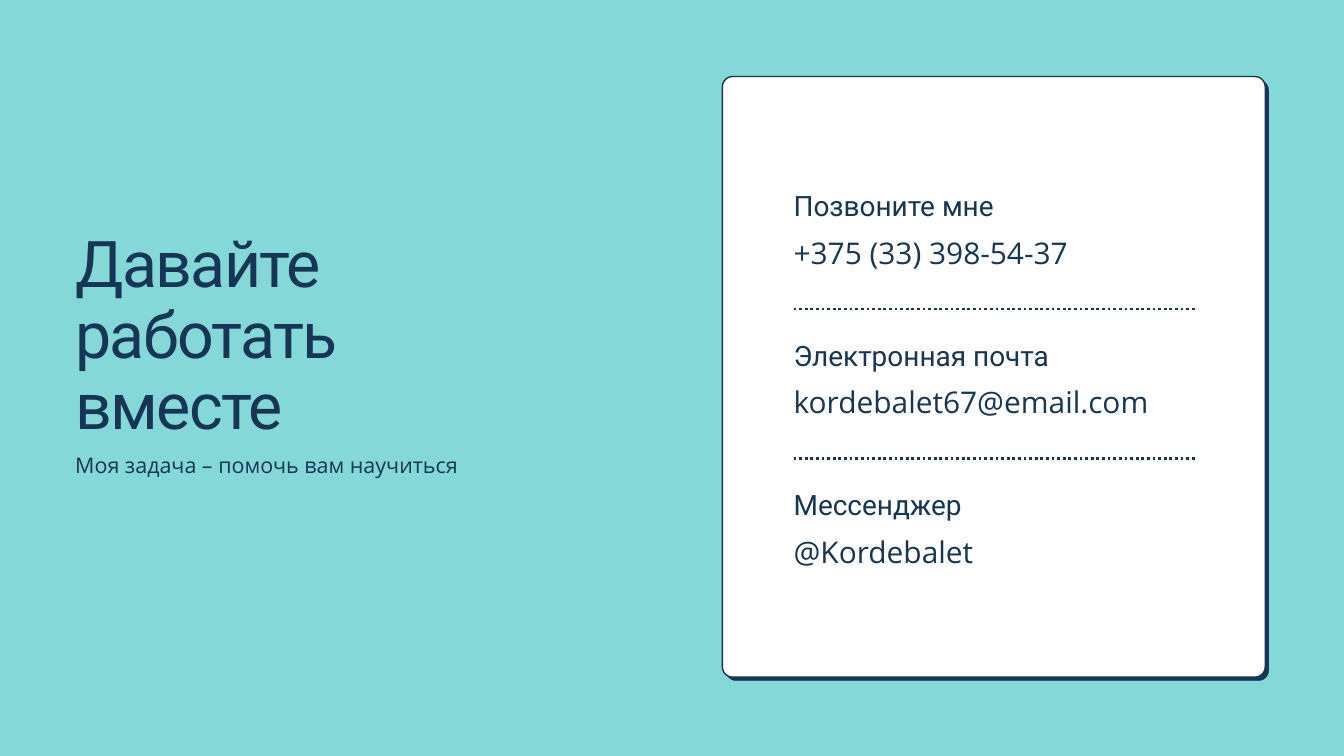
from dataclasses import dataclass

from lxml import etree
from pptx import Presentation
from pptx.dml.color import RGBColor
from pptx.enum.dml import MSO_LINE
from pptx.enum.shapes import MSO_CONNECTOR, MSO_SHAPE
from pptx.enum.text import MSO_ANCHOR, MSO_AUTO_SIZE, PP_ALIGN
from pptx.oxml.ns import qn
from pptx.shapes.autoshape import Shape
from pptx.slide import Slide
from pptx.util import Pt

ROUNDED = MSO_SHAPE.ROUNDED_RECTANGLE
STRAIGHT = MSO_CONNECTOR.STRAIGHT
DOTTED = MSO_LINE.ROUND_DOT
TOP = MSO_ANCHOR.TOP
LEFT = PP_ALIGN.LEFT
NO_AUTOSIZE = MSO_AUTO_SIZE.NONE
TITLE_ONLY = 5


@dataclass(frozen=True)
class TextStyle:
    font: str
    size: float
    line_spacing: float
    tracking: float = 0


@dataclass(frozen=True)
class Theme:
    background: RGBColor = RGBColor(0x84, 0xD8, 0xD8)
    ink: RGBColor = RGBColor(0x17, 0x35, 0x54)
    card: RGBColor = RGBColor(0xFF, 0xFF, 0xFF)
    title: TextStyle = TextStyle("Roboto", 69, 75.9, -1.7)
    subtitle: TextStyle = TextStyle("Open Sans", 23, 29.9)
    label: TextStyle = TextStyle("Roboto", 30, 39)
    value: TextStyle = TextStyle("Open Sans", 32, 41.6)


@dataclass(frozen=True)
class Box:
    left: float
    top: float
    width: float
    height: float


@dataclass(frozen=True)
class Contact:
    label: str
    value: str


THEME = Theme()
CARD = Box(774, 82, 581.6, 643.5)
CARD_RADIUS = 11
CARD_DEPTH = 3.8
CONTACT_LEFT = 850.3
CONTACT_TOP = 198.6
CONTACT_WIDTH = 432
CONTACT_STEP = 160.6
VALUE_OFFSET = 49.2
DIVIDER_OFFSET = 132.4
CONTACTS = [
    Contact("Позвоните мне", "+375 (33) 398-54-37"),
    Contact("Электронная почта", "kordebalet67@email.com"),
    Contact("Мессенджер", "@Kordebalet"),
]


def write_text(shape: Shape, text: str, style: TextStyle) -> None:
    frame = shape.text_frame
    frame_format = {
        "margin_left": 0, "margin_top": 0, "margin_right": 0, "margin_bottom": 0,
        "word_wrap": True, "auto_size": NO_AUTOSIZE, "vertical_anchor": TOP,
    }
    for name, value in frame_format.items():
        setattr(frame, name, value)
    paragraph = frame.paragraphs[0]
    paragraph.alignment = LEFT
    paragraph.line_spacing = Pt(style.line_spacing)
    run = paragraph.add_run()
    run.text = text
    for name, value in {"name": style.font, "size": Pt(style.size)}.items():
        setattr(run.font, name, value)
    run.font.color.rgb = THEME.ink
    if style.tracking:
        run._r.get_or_add_rPr().set("spc", str(round(style.tracking * 100)))


def add_text(slide: Slide, box: Box, text: str, style: TextStyle) -> None:
    shape = slide.shapes.add_textbox(
        Pt(box.left), Pt(box.top), Pt(box.width), Pt(box.height))
    write_text(shape, text, style)


def add_title(slide: Slide, box: Box, text: str) -> None:
    title = slide.shapes.title
    for name in ("left", "top", "width", "height"):
        setattr(title, name, Pt(getattr(box, name)))
    write_text(title, text, THEME.title)


def add_card_layer(slide: Slide, offset: float, fill: RGBColor) -> None:
    shape = slide.shapes.add_shape(
        ROUNDED, Pt(CARD.left + offset), Pt(CARD.top + offset),
        Pt(CARD.width), Pt(CARD.height))
    shape.adjustments[0] = CARD_RADIUS / CARD.width
    shape.shadow.inherit = False
    shape.fill.solid()
    shape.fill.fore_color.rgb = fill
    shape.line.color.rgb = THEME.ink
    shape.line.width = Pt(1.5 if offset == 0 else 0.25)


def add_divider(slide: Slide, top: float) -> None:
    divider = slide.shapes.add_connector(
        STRAIGHT, Pt(CONTACT_LEFT), Pt(top), Pt(CONTACT_LEFT + CONTACT_WIDTH), Pt(top))
    divider.line.color.rgb = THEME.ink
    for name, value in {"width": Pt(3), "dash_style": DOTTED}.items():
        setattr(divider.line, name, value)
    etree.SubElement(divider._element.spPr, qn("a:effectLst"))


def add_contact(slide: Slide, contact: Contact, top: float) -> None:
    add_text(slide, Box(CONTACT_LEFT, top, CONTACT_WIDTH, 38.2),
             contact.label, THEME.label)
    add_text(slide, Box(CONTACT_LEFT, top + VALUE_OFFSET, CONTACT_WIDTH, 40.3),
             contact.value, THEME.value)


def main() -> None:
    presentation = Presentation()
    presentation.slide_width = Pt(1440)
    presentation.slide_height = Pt(810)
    slide = presentation.slides.add_slide(presentation.slide_layouts[TITLE_ONLY])
    slide.background.fill.solid()
    slide.background.fill.fore_color.rgb = THEME.background

    add_title(slide, Box(80.6, 246.2, 501.8, 231.8), "Давайте работать вместе")
    add_text(slide, Box(80.6, 481.7, 501.8, 28.8),
             "Моя задача – помочь вам научиться", THEME.subtitle)
    add_card_layer(slide, CARD_DEPTH, THEME.ink)
    add_card_layer(slide, 0, THEME.card)
    for index, contact in enumerate(CONTACTS):
        top = CONTACT_TOP + index * CONTACT_STEP
        add_contact(slide, contact, top)
        if index < len(CONTACTS) - 1:
            add_divider(slide, top + DIVIDER_OFFSET)

    presentation.save("out.pptx")


if __name__ == "__main__":
    main()
